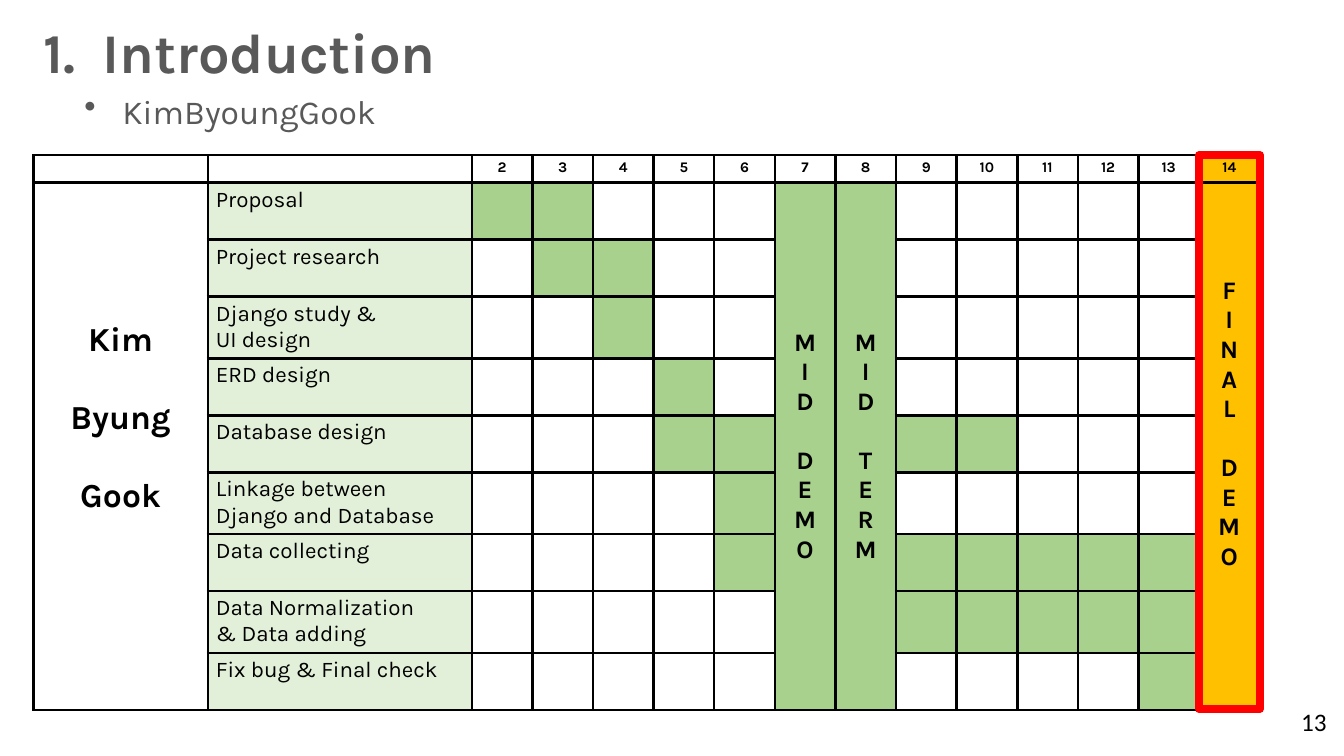
from lxml import etree
from pptx import Presentation
from pptx import util as u
from pptx.dml.color import RGBColor
from pptx.enum import shapes, text
from pptx.oxml import ns

BLACK = RGBColor(0, 0, 0)
WHITE = RGBColor(255, 255, 255)
GREY = RGBColor(0x59, 0x59, 0x59)
GREEN = RGBColor(0xA9, 0xD1, 0x8E)
PALE = RGBColor(0xE2, 0xF0, 0xD9)
GOLD = RGBColor(0xFF, 0xC0, 0x00)
RED = RGBColor(255, 0, 0)

LEFT = text.PP_ALIGN.LEFT
MID = text.PP_ALIGN.CENTER
TOP = text.MSO_ANCHOR.TOP
CORE = text.MSO_ANCHOR.MIDDLE

THIN, THICK = 1.98, 2.55
HEAD, LOW, HIGH = 19.6, 40.7, 43.9
FIRST, LAST = 2, 14
TASKS = [
    (["Proposal"], LOW, {2, 3}),
    (["Project research"], LOW, {3, 4}),
    (["Django study &", "UI design"], HIGH, {4}),
    (["ERD design"], LOW, {5}),
    (["Database design"], LOW, {5, 6, 9, 10}),
    (["Linkage between Django and Database"], HIGH, {6}),
    (["Data collecting"], LOW, {6, 9, 10, 11, 12, 13}),
    (["Data Normalization", "& Data adding"], HIGH, {9, 10, 11, 12, 13}),
    (["Fix bug & Final check"], LOW, {13}),
]
DEMOS = {7: ("MID DEMO", GREEN, 4), 8: ("MID TERM", GREEN, 4), 14: ("FINAL DEMO", GOLD, 36)}


def put(item, form):
    for key, val in form.items():
        setattr(item, key, val)


class Deck:
    def __init__(self):
        self.prs = Presentation()
        put(self.prs, {"slide_width": u.Pt(960), "slide_height": u.Pt(540)})
        self.slide = self.prs.slides.add_slide(self.prs.slide_layouts[5])
        self.face = "Karla"

    def lines(self, frame, words, size, hue=BLACK, bold=False, align=LEFT, gaps=None, face=None):
        for num, word in enumerate(words):
            para = frame.add_paragraph() if num else frame.paragraphs[0]
            put(para, {"alignment": align, "space_before": u.Pt((gaps or {}).get(num, 0))})
            run = para.add_run()
            run.text = word
            put(run.font, {"name": face or self.face, "size": u.Pt(size), "bold": bold})
            run.font.color.rgb = hue

    def hang(self, para, wide, mark=None):
        props = para._p.get_or_add_pPr()
        put_in = {"marL": u.Pt(wide), "indent": -u.Pt(wide)}
        for key, val in put_in.items():
            props.set(key, str(val))
        if mark:
            etree.SubElement(props, ns.qn("a:buChar"), char=mark)
        else:
            tabs = etree.SubElement(props, ns.qn("a:tabLst"))
            etree.SubElement(tabs, ns.qn("a:tab"), pos=str(u.Pt(wide)), algn="l")

    def title(self, words, box, wide):
        head = self.slide.shapes.title
        put(head, dict(zip(("left", "top", "width", "height"), map(u.Pt, box))))
        put(head.text_frame, {"vertical_anchor": TOP, "word_wrap": True,
                              "auto_size": text.MSO_AUTO_SIZE.NONE})
        self.lines(head.text_frame, [words], 40, GREY, True)
        self.hang(head.text_frame.paragraphs[0], wide)

    def label(self, words, box, size, hue, wrap=True, face=None):
        frame = self.slide.shapes.add_textbox(*map(u.Pt, box)).text_frame
        frame.word_wrap = wrap
        self.lines(frame, [words], size, hue, face=face)
        return frame.paragraphs[0]

    def frame(self, box, hue, wide):
        rect = self.slide.shapes.add_shape(shapes.MSO_SHAPE.RECTANGLE, *map(u.Pt, box))
        rect.shadow.inherit = False
        rect.fill.background()
        rect.line.color.rgb = hue
        rect.line.width = u.Pt(wide)

    def edge(self, cell, sides):
        props = cell._tc.get_or_add_tcPr()
        for num, (side, wide) in enumerate(sides.items()):
            line = etree.Element(ns.qn("a:ln" + side), w=str(u.Pt(wide)))
            fill = etree.SubElement(line, ns.qn("a:solidFill"))
            etree.SubElement(fill, ns.qn("a:srgbClr"), val=str(BLACK))
            props.insert(num, line)

    def cell(self, cell, hue, sides, words=(), inset=(5.8, 2.9, 5.8, 2.9), anchor=TOP, **form):
        cell.fill.solid()
        cell.fill.fore_color.rgb = hue
        names = ("margin_left", "margin_top", "margin_right", "margin_bottom")
        put(cell, dict(zip(names, map(u.Pt, inset))))
        cell.vertical_anchor = anchor
        self.edge(cell, sides)
        if words:
            self.lines(cell.text_frame, words, **form)
        else:
            etree.SubElement(cell.text_frame.paragraphs[0]._p, ns.qn("a:endParaRPr"), sz="1050")

    def table(self, left, top, cols, rows):
        grid = self.slide.shapes.add_table(
            len(rows), len(cols), *map(u.Pt, (left, top, sum(cols), sum(rows)))).table
        put(grid, {"first_row": False, "horz_banding": False})
        for col, wide in zip(grid.columns, cols):
            col.width = u.Pt(wide)
        for row, tall in zip(grid.rows, rows):
            row.height = u.Pt(tall)
        return grid


def sides(week):
    return {"L": THICK if week in (5, 11) else THIN,
            "R": THICK if week in (4, 10) else THIN, "T": THIN, "B": THIN}


def plan(deck, left, top, cols, rows):
    grid = deck.table(left, top, cols, rows)
    end = len(TASKS)
    for col in (0, 1):
        deck.cell(grid.cell(0, col), WHITE, sides(0))
    for row, (words, tall, busy) in enumerate(TASKS, 1):
        deck.cell(grid.cell(row, 1), PALE, sides(0), words, size=16)
        if row > 1:
            deck.cell(grid.cell(row, 0), WHITE, sides(0))
        for week in range(FIRST, LAST + 1):
            if week not in DEMOS:
                deck.cell(grid.cell(row, week), GREEN if week in busy else WHITE, sides(week))
            elif row > 1:
                deck.cell(grid.cell(row, week), DEMOS[week][1], sides(week))
    deck.cell(grid.cell(1, 0), WHITE, sides(0), ["Kim", "Byung", "Gook"], (7.9, 4, 7.9, 44),
              CORE, size=24, bold=True, align=MID, gaps={1: 28, 2: 28})
    for week in range(FIRST, LAST + 1):
        deck.cell(grid.cell(0, week), GOLD if week == LAST else WHITE, sides(week),
                  [str(week)], size=10.5, bold=True, align=MID)
    for week, (name, hue, base) in DEMOS.items():
        deck.cell(grid.cell(1, week), hue, sides(week), list(name.replace(" ", "")),
                  (5.8, 4, 5.8, base), CORE, size=18, bold=True, align=MID,
                  gaps={name.index(" "): 21})
    for col in (0, *DEMOS):
        grid.cell(1, col).merge(grid.cell(end, col))


def main():
    deck = Deck()
    left, top, week = 23.8, 110.9, 43.3
    cols = [124.6, 188.6] + [week] * (LAST - FIRST + 1)
    rows = [HEAD] + [tall for _, tall, _ in TASKS]
    deck.title("1.\tIntroduction", (23.8, 8.6, 440.6, 55.4), 42)
    name = deck.label("KimByoungGook", (53.3, 61.2, 900, 36), 24, GREY)
    deck.hang(name, 27, "•")
    plan(deck, left, top, cols, rows)
    deck.label("13", (922.3, 501.1, 33.1, 28.8), 18, BLACK, False, "Calibri")
    deck.frame((left + sum(cols) - week, top, week, sum(rows)), RED, 6)
    deck.prs.save("out.pptx")


if __name__ == "__main__":
    main()
